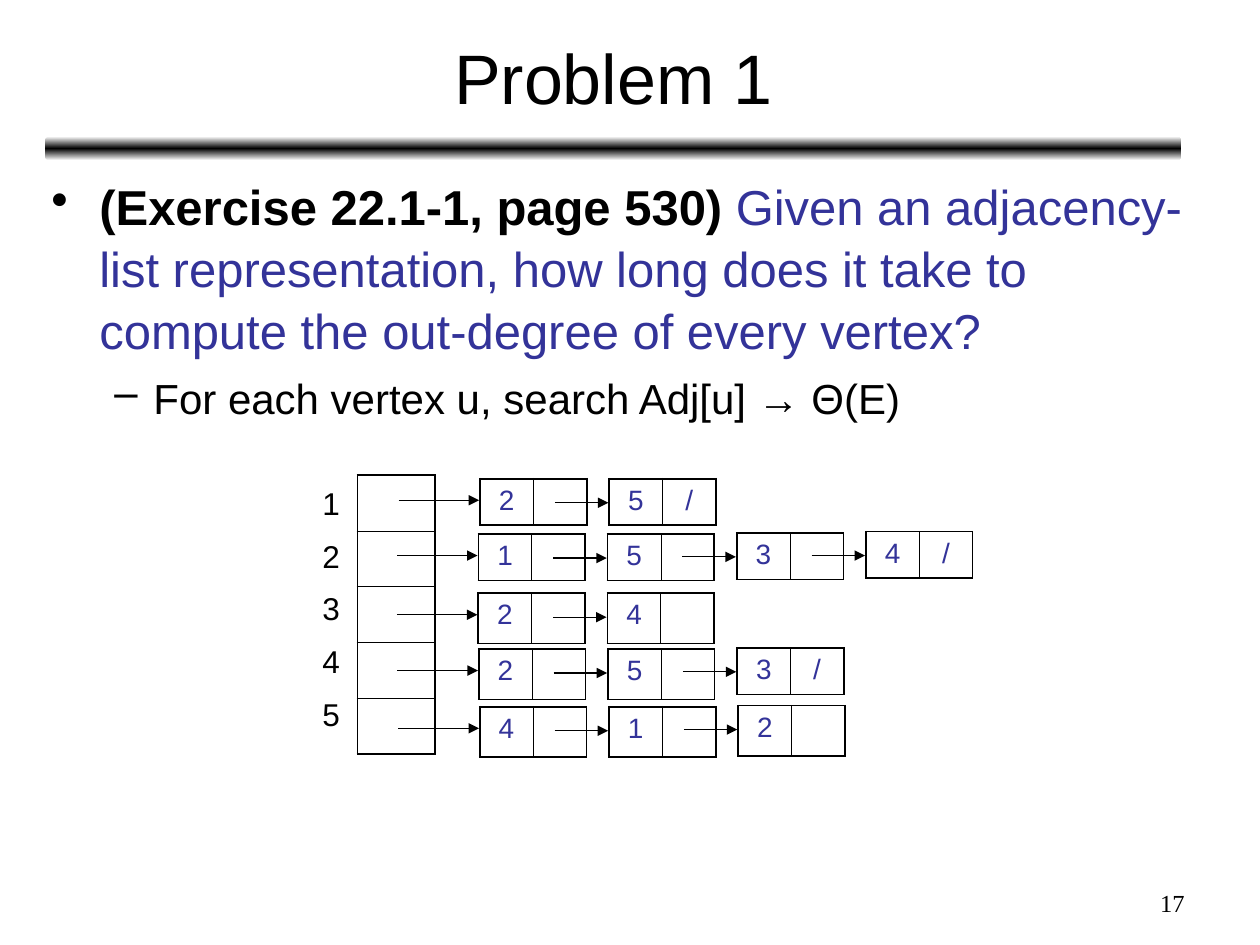
import copy
import lxml.etree
import pptx
import pptx.dml.color
import pptx.enum.shapes
import pptx.enum.text
import pptx.oxml
import pptx.oxml.ns
import pptx.util

Pt = pptx.util.Pt
ALIGN = pptx.enum.text.PP_ALIGN
ANCHOR = pptx.enum.text.MSO_ANCHOR
COLORS = {"ink": "000000", "blue": "333399", "paper": "FFFFFF"}

TITLE = "Problem 1"
BODY = [
    {"bullet": "•", "margin": 27.4, "hang": 27.4, "before": 0, "runs": [
        ("(Exercise 22.1-1, page 530)", {"size": 28, "color": "ink", "bold": True}),
        (" Given an adjacency-list representation, how long does it take to "
         "compute the out-degree of every vertex?", {"size": 28, "color": "blue"})]},
    {"bullet": "–", "margin": 58.3, "hang": 22.3, "before": 6, "runs": [
        ("For each vertex u, search Adj[u] → Θ(E)", {"size": 24, "color": "ink"})]},
]
ADJACENCY = [
    {"vertex": "1", "left": 274.3, "top": 273.6, "height": 26.6, "nodes": ["2", "5/"]},
    {"vertex": "2", "left": 273.4, "top": 305.2, "height": 26.6, "nodes": ["1", "5", "3", "4/"]},
    {"vertex": "3", "left": 273.3, "top": 339, "height": 28.8, "nodes": ["2", "4"]},
    {"vertex": "4", "left": 273.6, "top": 370.9, "height": 28.8, "nodes": ["2", "5", "3/"]},
    {"vertex": "5", "left": 274.2, "top": 403.9, "height": 28.8, "nodes": ["4", "1", "2"]},
]
PAGE_NUMBER = "17"

NODE_PITCH = 73.8
NODE_CELL = 30.5
LABEL_PITCH = 30.2
INDEX_ROW = 31.9
THICK, THIN = 1.08, 0.45


def rgb(name):
    return pptx.dml.color.RGBColor.from_string(COLORS[name])


def add_span(para, text, size, color, bold=False, name="Arial"):
    span = para.add_run()
    span.text = text
    for key, value in {"size": Pt(size), "bold": bold, "name": name}.items():
        setattr(span.font, key, value)
    span.font.color.rgb = rgb(color)


def add_box(page, left, top, width, height, **frame_format):
    box = page.shapes.add_textbox(Pt(left), Pt(top), Pt(width), Pt(height))
    for key, value in {"word_wrap": True, **frame_format}.items():
        setattr(box.text_frame, key, value)
    return box.text_frame


def add_bullet(para, item):
    properties = para._p.get_or_add_pPr()
    properties.set("marL", str(Pt(item["margin"])))
    properties.set("indent", str(-Pt(item["hang"])))
    bullet = lxml.etree.SubElement(properties, pptx.oxml.ns.qn("a:buChar"))
    bullet.set("char", item["bullet"])


def set_borders(cell, widths):
    properties = cell._tc.get_or_add_tcPr()
    for position, (side, width) in enumerate(zip("LRTB", widths)):
        border = pptx.oxml.parse_xml(
            f'<a:ln{side} {pptx.oxml.ns.nsdecls("a")} w="{Pt(width)}"><a:solidFill>'
            f'<a:srgbClr val="{COLORS["ink"]}"/></a:solidFill></a:ln{side}>')
        properties.insert(position, border)


def add_grid(page, rows, left, top, cell_width, cell_height):
    row_count, column_count = len(rows), len(rows[0])
    table = page.shapes.add_table(
        row_count, column_count, Pt(left), Pt(top),
        Pt(cell_width * column_count), Pt(cell_height * row_count)).table
    table.first_row = table.horz_banding = False
    for r, row in enumerate(rows):
        for c, text in enumerate(row):
            cell = table.cell(r, c)
            cell.fill.background()
            outer = (c == 0, c == column_count - 1, r == 0, r == row_count - 1)
            set_borders(cell, [THICK if edge else THIN for edge in outer])
            cell.margin_top = cell.margin_bottom = Pt(3.6 if text else 0)
            if text:
                para = cell.text_frame.paragraphs[0]
                para.alignment = ALIGN.CENTER
                add_span(para, text, 16, "blue")


def add_arrow(page, start, end, y):
    arrow = page.shapes.add_connector(
        pptx.enum.shapes.MSO_CONNECTOR.STRAIGHT, Pt(start), Pt(y), Pt(end), Pt(y))
    arrow.line.width = Pt(0.75)
    arrow.line.color.rgb = rgb("ink")
    head = lxml.etree.SubElement(arrow.line._get_or_add_ln(), pptx.oxml.ns.qn("a:tailEnd"))
    head.set("type", "triangle")
    lxml.etree.SubElement(arrow._element.spPr, pptx.oxml.ns.qn("a:effectLst"))


def add_rule(page):
    rule = page.shapes.add_shape(
        pptx.enum.shapes.MSO_SHAPE.ROUNDED_RECTANGLE, Pt(26), Pt(78), Pt(649), Pt(13.7))
    rule.shadow.inherit = False
    rule.line.fill.background()
    rule.fill.gradient()
    rule.fill.gradient_angle = 90
    first = rule.fill._fill._gradFill.gsLst[0]
    first.addnext(copy.deepcopy(first))
    stops = [(0, "paper"), (0.5, "ink"), (1, "paper")]
    for stop, (position, color) in zip(rule.fill.gradient_stops, stops):
        stop.position = position
        stop.color.rgb = rgb(color)


def add_list(page, entry):
    for n, node in enumerate(entry["nodes"]):
        left = entry["left"] + n * NODE_PITCH
        top = entry["top"] - max(n - 1, 0) * 0.7
        value, end_mark = node[0], node[1:]
        height = 26.6 if end_mark else entry["height"]
        add_grid(page, [[value, end_mark]], left, top, NODE_CELL, height)
        start = left - (31 if n else 46.5)
        add_arrow(page, start, left - 0.5, top + (13.7 if n else 12.3))


def main():
    deck = pptx.Presentation()
    deck.slide_width, deck.slide_height = Pt(720), Pt(540)
    page = deck.slides.add_slide(deck.slide_layouts[6])
    add_rule(page)

    title = add_box(page, 26.6, 8, 648, 71.3, vertical_anchor=ANCHOR.MIDDLE).paragraphs[0]
    title.alignment = ALIGN.CENTER
    add_span(title, TITLE, 40, "ink")

    body = add_box(page, 22.3, 95.8, 667.5, 399.6)
    for i, item in enumerate(BODY):
        para = body.add_paragraph() if i else body.paragraphs[0]
        add_bullet(para, item)
        para.line_spacing = 1.05
        para.space_before = Pt(item["before"])
        for text, style in item["runs"]:
            add_span(para, text, **style)

    add_grid(page, [[""] for _ in ADJACENCY], 204.2, 271.5, 44.2, INDEX_ROW)
    for i, entry in enumerate(ADJACENCY):
        label = add_box(page, 177.1, 272.9 + i * LABEL_PITCH, 24.5, 28.8, word_wrap=False)
        add_span(label.paragraphs[0], entry["vertex"], 18, "ink")
        add_list(page, entry)

    number = add_box(page, 516.2, 504, 167.8, 25.2).paragraphs[0]
    number.alignment = ALIGN.RIGHT
    add_span(number, PAGE_NUMBER, 14, "ink", name="Times New Roman")
    deck.save("out.pptx")


if __name__ == "__main__":
    main()
